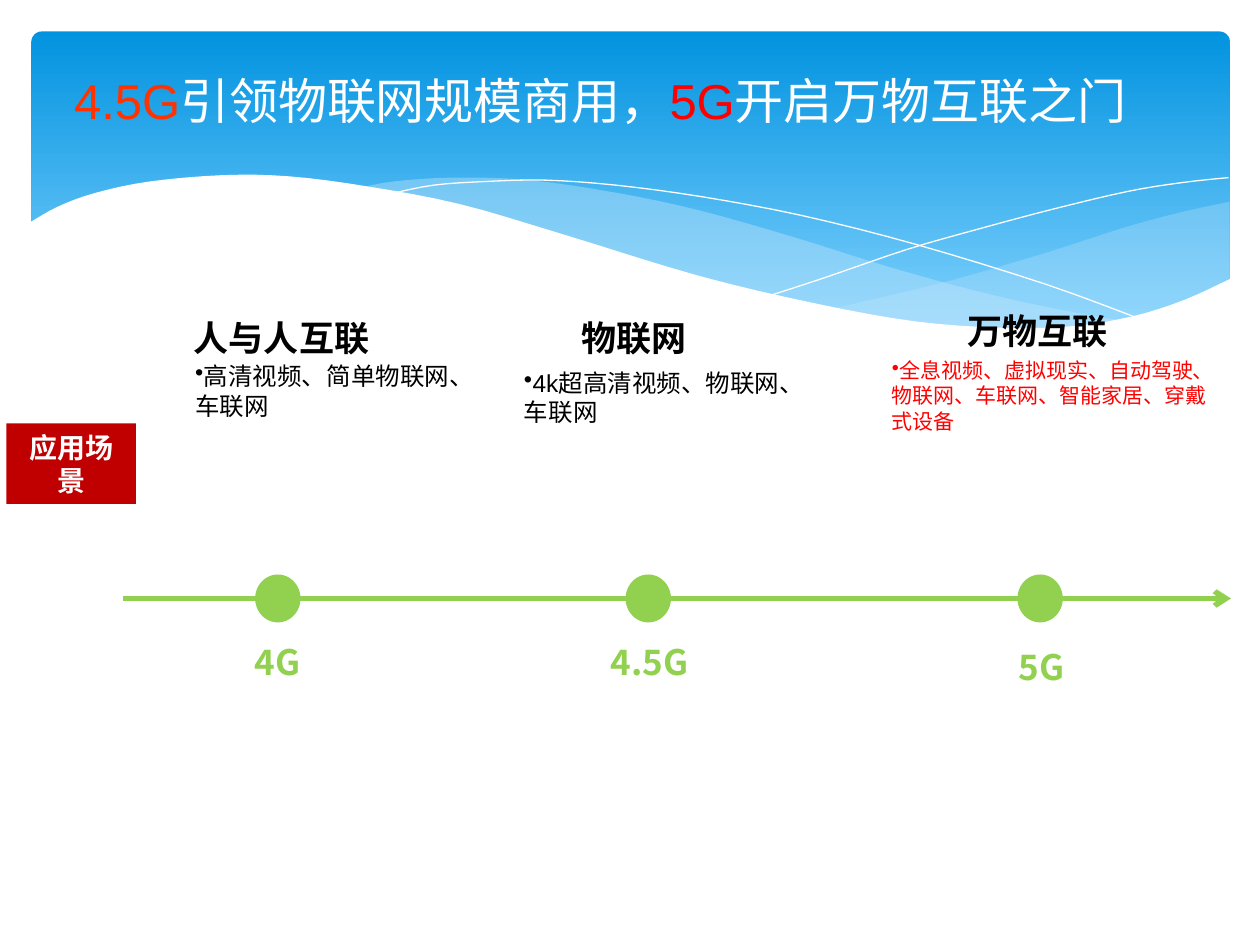
import dataclasses
import typing

import lxml.etree
import pptx
import pptx.chart.data
import pptx.dml.color
import pptx.enum.dml
import pptx.enum.shapes
import pptx.enum.text
import pptx.oxml
import pptx.oxml.ns
import pptx.util

Inches = pptx.util.Inches
Point = tuple[float, float]
Align = pptx.enum.text.PP_ALIGN
Preset = pptx.enum.shapes.MSO_SHAPE

COLORS = {
    "sky": "0293E0", "pale_sky": "83D3FE", "mist": "C6E7FC", "white": "FFFFFF",
    "black": "000000", "red": "FF0000", "orange": "FF3300", "green": "92D050", "crimson": "C00000",
}
SANS, CJK = "Arial", "Noto Sans CJK SC"
AXIS_Y = 4.75
DOT_WIDTH, DOT_HEIGHT = 0.35, 0.37


@dataclasses.dataclass
class Wave:
    """A band outlined by smooth curves, or an open hairline when it has no fill."""
    curves: list[list[Point]]
    fill: str | None = None
    opacity: int = 100


@dataclasses.dataclass
class Label:
    """A text box holding one paragraph of coloured spans."""
    left: float
    top: float
    width: float
    height: float
    spans: list[tuple[str, str]]
    size: int
    font: str = CJK
    bold: bool = True
    align: typing.Any = Align.CENTER
    spacing: float = 1.0
    bullet: bool = False


@dataclasses.dataclass
class Stage:
    """One generation on the timeline with its name, heading and scenarios."""
    dot_left: float
    name: Label
    heading: Label
    scenario: Label


WAVES = [
    Wave([[(9.76, 1.6), (9.35, 1.69), (8.91, 1.81), (8.32, 2), (7.53, 2.23), (6.61, 2.45)],
          [(6.61, 2.45), (7.05, 2.53), (7.57, 2.59), (8.14, 2.62), (8.63, 2.59), (9.05, 2.5),
           (9.42, 2.38), (9.76, 2.21)]], "mist", 29),
    Wave([[(8.93, 2.55), (8.37, 2.45), (7.75, 2.31), (7.06, 2.12), (6.29, 1.88), (5.55, 1.67),
           (4.89, 1.53), (4.2, 1.43), (3.61, 1.41), (3.13, 1.44), (2.86, 1.49)],
          [(2.86, 1.49), (3.42, 1.59), (4.04, 1.75), (4.91, 2.02), (5.66, 2.24), (6.34, 2.4),
           (6.95, 2.52), (7.48, 2.59), (8.07, 2.63), (8.57, 2.61), (8.93, 2.55)]], "mist", 40),
    Wave([[(3.09, 1.54), (3.44, 1.47), (3.87, 1.44), (4.33, 1.43), (4.89, 1.47), (5.56, 1.56),
           (6.36, 1.71), (7.27, 1.94), (8.31, 2.26), (9.07, 2.54)]]),
    Wave([[(6.13, 2.34), (6.53, 2.21), (7.2, 1.98), (7.76, 1.82), (8.36, 1.66), (8.95, 1.52),
           (9.38, 1.45), (9.75, 1.41)]]),
    Wave([[(9.77, 2.21), (9.4, 2.38), (8.99, 2.51), (8.5, 2.59), (7.93, 2.6), (7.26, 2.55),
           (6.48, 2.41), (5.55, 2.19), (4.47, 1.86), (3.65, 1.62), (2.92, 1.48), (2.3, 1.4),
           (1.77, 1.39), (1.19, 1.44), (0.76, 1.53), (0.46, 1.64), (0.23, 1.77)],
          [(0.23, 3.29), (9.77, 3.29)]], "white"),
]

TITLE = Label(0.49, 0.51, 9.45, 0.57, [
    ("4.5G", "orange"), ("引领物联网规模商用，", "white"),
    ("5G", "red"), ("开启万物互联之门", "white"),
], 28, SANS, False, Align.LEFT)


def name_label(left: float, top: float, width: float, text: str) -> Label:
    """Describe a generation name below the timeline."""
    return Label(left, top, width, 0.63, [(text, "green")], 20, spacing=1.5)


def heading_label(left: float, top: float, width: float, text: str) -> Label:
    """Describe a heading above the scenarios."""
    return Label(left, top, width, 0.46, [(text, "black")], 20)


def scenario_label(left: float, top: float, width: float, height: float, text: str,
                   color: str = "black", size: int = 14) -> Label:
    """Describe a bulleted list of scenarios."""
    return Label(left, top, width, height, [(text, color)], size, SANS, False, Align.LEFT, bullet=True)


STAGES = [
    Stage(2.03, name_label(1.85, 4.87, 0.71, "4G"), heading_label(1.36, 2.46, 1.75, "人与人互联"),
          scenario_label(1.45, 2.82, 2.25, 0.6, "高清视频、简单物联网、车联网")),
    Stage(4.97, name_label(4.56, 4.87, 1.19, "4.5G"), heading_label(4.16, 2.46, 1.75, "物联网"),
          scenario_label(4.06, 2.87, 2.32, 0.6, "4k超高清视频、物联网、车联网")),
    Stage(8.08, name_label(7.67, 4.91, 1.19, "5G"), heading_label(7.19, 2.41, 2.09, "万物互联"),
          scenario_label(6.98, 2.79, 2.79, 0.74,
                         "全息视频、虚拟现实、自动驾驶、物联网、车联网、智能家居、穿戴式设备", "red", 12)),
]
SCENE_TAG = Label(0.05, 3.36, 1.03, 0.64, [("应用场景", "white")], 16)


def rgb(name: str) -> pptx.dml.color.RGBColor:
    """Look up a named colour."""
    return pptx.dml.color.RGBColor.from_string(COLORS[name])


def add_child(parent: typing.Any, tag: str, **attributes: str) -> typing.Any:
    """Append a drawing element to a parent."""
    return lxml.etree.SubElement(parent, pptx.oxml.ns.qn(tag), attributes)


def smooth(points: list[Point], steps: int = 4) -> list[Point]:
    """Sample a Catmull-Rom curve through the points."""
    if len(points) < 3:
        return points
    padded = [points[0], *points, points[-1]]
    result = [points[0]]
    for a, b, c, d in zip(padded, padded[1:], padded[2:], padded[3:]):
        for step in range(1, steps + 1):
            t = step / steps
            x, y = (
                b[i] + t * (c[i] - a[i]) / 2 + t**2 * (2 * a[i] - 5 * b[i] + 4 * c[i] - d[i]) / 2
                + t**3 * (3 * b[i] - a[i] - 3 * c[i] + d[i]) / 2 for i in (0, 1))
            result.append((x, y))
    return result


def draw_wave(page: typing.Any, wave: Wave) -> None:
    """Draw a filled wave or a white hairline."""
    start, *rest = [(Inches(x), Inches(y)) for curve in wave.curves for x, y in smooth(curve)]
    builder = page.shapes.build_freeform(*start)
    builder.add_line_segments(rest, close=wave.fill is not None)
    shape = builder.convert_to_shape()
    shape.shadow.inherit = False
    if wave.fill is None:
        shape.fill.background()
        shape.line.color.rgb = rgb("white")
        shape.line.width = pptx.util.Pt(0)
        return
    shape.fill.solid()
    shape.fill.fore_color.rgb = rgb(wave.fill)
    shape.line.fill.background()
    if wave.opacity < 100:
        color = shape._element.spPr.find(".//" + pptx.oxml.ns.qn("a:srgbClr"))
        add_child(color, "a:alpha", val=str(wave.opacity * 1000))


def draw_shape(page: typing.Any, preset: typing.Any, left: float, top: float, width: float,
               height: float, fill: str, outline: bool = False) -> typing.Any:
    """Draw a flat preset shape."""
    shape = page.shapes.add_shape(preset, Inches(left), Inches(top), Inches(width), Inches(height))
    shape.shadow.inherit = False
    shape.fill.solid()
    shape.fill.fore_color.rgb = rgb(fill)
    if outline:
        shape.line.color.rgb = rgb(fill)
        shape.line.width = pptx.util.Pt(0.75)
    else:
        shape.line.fill.background()
    return shape


def write_text(box: typing.Any, label: Label, anchor: typing.Any) -> None:
    """Fill a shape with the paragraph of a label."""
    frame = box.text_frame
    frame.word_wrap = True
    frame.vertical_anchor = anchor
    para = frame.paragraphs[0]
    para.alignment = label.align
    para.line_spacing = label.spacing
    if label.bullet:
        add_child(para._p.get_or_add_pPr(), "a:buChar", char="•")
    para.font.size = pptx.util.Pt(label.size)
    para.font.bold = label.bold
    para.font.name = label.font
    add_child(para.font._element, "a:ea", typeface=CJK)
    for text, color in label.spans:
        span = para.add_run()
        span.text = text
        span.font.color.rgb = rgb(color)


def draw_label(page: typing.Any, label: Label,
               anchor: typing.Any = pptx.enum.text.MSO_ANCHOR.TOP) -> None:
    """Draw a label as a text box."""
    box = page.shapes.add_textbox(
        Inches(label.left), Inches(label.top), Inches(label.width), Inches(label.height))
    write_text(box, label, anchor)


def draw_banner(page: typing.Any) -> None:
    """Draw the gradient banner and its waves."""
    banner = draw_shape(page, Preset.ROUNDED_RECTANGLE, 0.25, 0.25, 9.51, 2.7, "sky")
    banner.adjustments[0] = 0.03
    banner.fill.gradient()
    banner.fill.gradient_angle = 270
    for stop, color, position in zip(banner.fill.gradient_stops, ("sky", "pale_sky"), (0, 0.9)):
        stop.color.rgb = rgb(color)
        stop.position = position
    for wave in WAVES:
        draw_wave(page, wave)


def draw_axis(page: typing.Any) -> None:
    """Draw the timeline arrow."""
    axis = page.shapes.add_connector(pptx.enum.shapes.MSO_CONNECTOR.STRAIGHT,
                                     Inches(0.98), Inches(AXIS_Y), Inches(9.77), Inches(AXIS_Y))
    axis.line.color.rgb = rgb("green")
    axis.line.width = pptx.util.Pt(3)
    add_child(axis.line._get_or_add_ln(), "a:tailEnd", type="arrow")
    add_child(axis._element.spPr, "a:effectLst")


def main() -> None:
    """Build the slide and save it."""
    deck = pptx.Presentation()
    deck.slide_width, deck.slide_height = Inches(10), Inches(7.5)
    page = deck.slides.add_slide(deck.slide_layouts[6])
    middle = pptx.enum.text.MSO_ANCHOR.MIDDLE
    draw_banner(page)
    draw_label(page, TITLE, middle)
    draw_axis(page)
    for stage in STAGES:
        draw_shape(page, Preset.OVAL, stage.dot_left, AXIS_Y - DOT_HEIGHT / 2,
                   DOT_WIDTH, DOT_HEIGHT, "green", outline=True)
        for label in (stage.name, stage.heading, stage.scenario):
            draw_label(page, label)
    tag = draw_shape(page, Preset.RECTANGLE, SCENE_TAG.left, SCENE_TAG.top,
                     SCENE_TAG.width, SCENE_TAG.height, "crimson")
    write_text(tag, SCENE_TAG, middle)
    deck.save("out.pptx")


if __name__ == "__main__":
    main()
